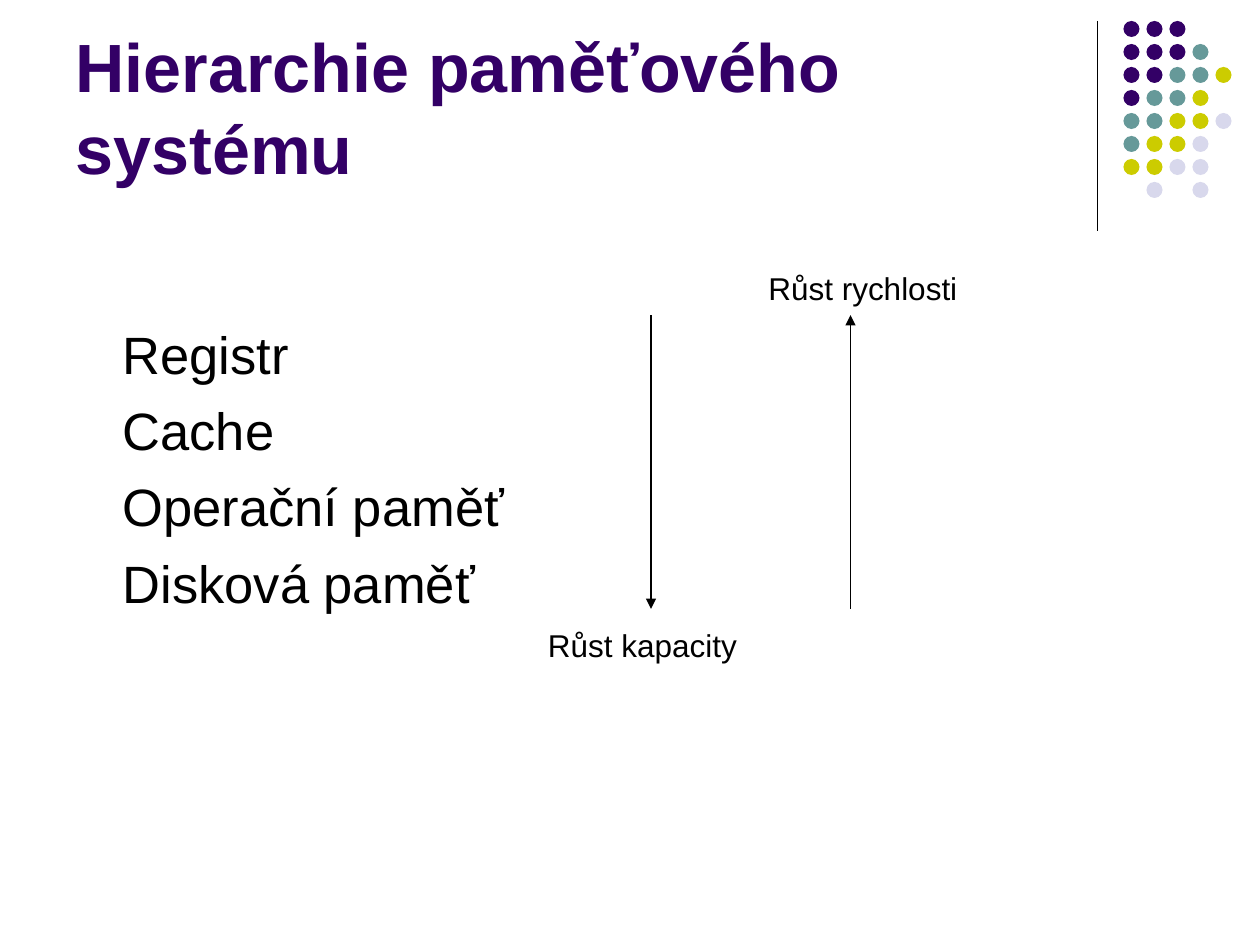
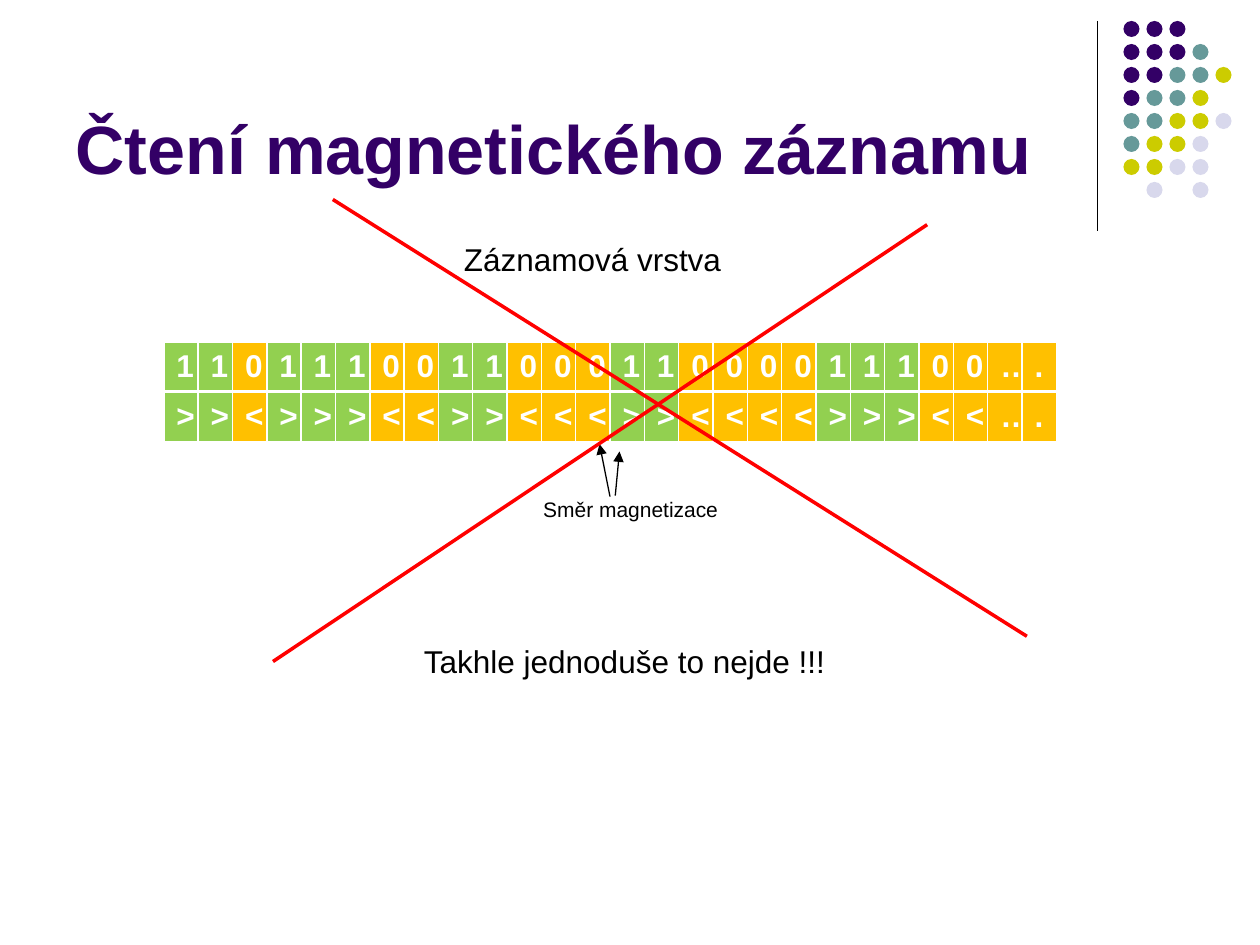
from dataclasses import dataclass

from lxml.etree import SubElement
from pptx import Presentation
from pptx.dml.color import RGBColor
from pptx.enum.shapes import MSO_CONNECTOR as Connector, MSO_SHAPE as Shape
from pptx.enum.text import MSO_ANCHOR as Anchor, MSO_AUTO_SIZE as AutoSize, PP_ALIGN as Align
from pptx.oxml.ns import qn
from pptx.util import Inches, Pt

UNIT = Inches(1) / 12
COLUMNS, ROWS = 120, 90
TITLE_ONLY = 5
FONT = "Arial"
PURPLE, TEAL, LIME, LAVENDER = "330066", "669999", "CCCC00", "D8D8EC"
BLACK, WHITE, RED, GREEN, ORANGE = "000000", "FFFFFF", "FF0000", "92D050", "FFC000"
DOT_COLOURS = {"P": PURPLE, "T": TEAL, "L": LIME, "V": LAVENDER}
DOT_ROWS = ["PPP", "PPPT", "PPTTL", "PTTL", "TTLLV", "TLLV", "LLVV", " V V"]
BITS = "110111001100011000011100…."


@dataclass
class Box:
    """A rectangle measured in columns and rows of the slide grid."""
    left: float
    top: float
    width: float
    height: float

    def inner(self, left, top, width, height):
        """Return a box offset from the corner of this one."""
        return Box(self.left + left, self.top + top, width, height)

    def point(self, left, top):
        """Return the slide lengths of a point offset from the corner."""
        return round((self.left + left) * UNIT), round((self.top + top) * UNIT)

    def lengths(self):
        """Return left, top, width and height as slide lengths."""
        return [round(value * UNIT) for value in (self.left, self.top, self.width, self.height)]


TITLE = Box(6, 1.5, 99, 17)
CORNER = Box(104.5, 2, 12.8, 20)
LEVELS = Box(6, 30.1, 54, 30)
GROWTH = Box(51, 25, 44, 39)
RECORD = Box(15.6, 22.3, 85.08, 28)
CROSS = Box(26, 19, 72, 44)


def colour(value):
    """Turn a hex string into a colour."""
    return RGBColor.from_string(value)


def apply(target, **values):
    """Set attributes from named format values."""
    for name, value in values.items():
        setattr(target, name, value)


def format_font(paragraph, size, hex_colour, bold=False):
    """Format the font of a paragraph."""
    apply(paragraph.font, name=FONT, size=Pt(size), bold=bold)
    paragraph.font.color.rgb = colour(hex_colour)


def add_text(slide, box, lines, size, space=0, indent=0):
    """Place lines of black text, with space between them."""
    frame = slide.shapes.add_textbox(*box.lengths()).text_frame
    frame.word_wrap = True
    frame.text = "\n".join(lines)
    for index, paragraph in enumerate(frame.paragraphs):
        paragraph._p.get_or_add_pPr().set("marL", str(round(indent * UNIT)))
        paragraph.space_before = Pt(space if index else 0)
        format_font(paragraph, size, BLACK)


def add_line(slide, start, end, hex_colour=BLACK, width=0.75, arrow=False):
    """Draw a straight line, with an arrowhead at its end if asked."""
    connector = slide.shapes.add_connector(Connector.STRAIGHT, *start, *end)
    connector.line.color.rgb = colour(hex_colour)
    connector.line.width = Pt(width)
    if arrow:
        SubElement(connector.line._get_or_add_ln(), qn("a:tailEnd"), type="triangle")
    SubElement(connector._element.spPr, qn("a:effectLst"))


def add_corner(slide, box):
    """Draw the vertical rule and the dot pattern beside it."""
    add_line(slide, box.point(0, 0), box.point(0, box.height))
    pitch, diameter = 2.19, 1.53
    for row, codes in enumerate(DOT_ROWS):
        for column, code in enumerate(codes):
            if code in DOT_COLOURS:
                place = box.inner(2.5 + column * pitch, row * pitch, diameter, diameter)
                dot = slide.shapes.add_shape(Shape.OVAL, *place.lengths())
                dot.shadow.inherit = False
                dot.fill.solid()
                dot.fill.fore_color.rgb = colour(DOT_COLOURS[code])
                dot.line.fill.background()


def add_titled_slide(presentation, text):
    """Add a slide with the shared title style and corner pattern."""
    slide = presentation.slides.add_slide(presentation.slide_layouts[TITLE_ONLY])
    title = slide.shapes.title
    apply(title, **dict(zip(("left", "top", "width", "height"), TITLE.lengths())))
    title.text_frame.text = text
    apply(title.text_frame, vertical_anchor=Anchor.BOTTOM, word_wrap=True, auto_size=AutoSize.NONE)
    paragraph = title.text_frame.paragraphs[0]
    paragraph.alignment = Align.LEFT
    format_font(paragraph, 39, PURPLE, bold=True)
    add_corner(slide, CORNER)
    return slide


def add_growth(slide, box):
    """Draw the opposed arrows of capacity and speed."""
    top, bottom = 5, 33
    add_line(slide, box.point(11, top), box.point(11, bottom), arrow=True)
    add_line(slide, box.point(30, bottom), box.point(30, top), arrow=True)
    add_text(slide, box.inner(0, 34, 23, 4.8), ["Růst kapacity"], 18)
    add_text(slide, box.inner(21, 0, 23, 4.8), ["Růst rychlosti"], 18)


def add_borders(cell):
    """Give a cell white borders, thicker at the bottom."""
    properties = cell._tc.get_or_add_tcPr()
    for side, width in {"L": 1, "R": 1, "T": 1, "B": 3}.items():
        line = SubElement(properties, qn(f"a:ln{side}"), w=str(Pt(width)))
        fill = SubElement(line, qn("a:solidFill"))
        SubElement(fill, qn("a:srgbClr"), val=WHITE)


def add_strip(slide, box, symbols):
    """Add a one-row table, green where the bit is one."""
    table = slide.shapes.add_table(1, len(symbols), *box.lengths()).table
    for index, (symbol, bit) in enumerate(zip(symbols, BITS)):
        table.columns[index].width = round(box.width * UNIT / len(symbols))
        cell = table.cell(0, index)
        cell.text = symbol
        format_font(cell.text_frame.paragraphs[0], 18, WHITE, bold=True)
        add_borders(cell)
        cell.fill.solid()
        cell.fill.fore_color.rgb = colour(GREEN if bit == "1" else ORANGE)


def add_record(slide, box):
    """Show the recorded bits and their magnetisation."""
    directions = BITS.replace("1", ">").replace("0", "<")
    for row, symbols in enumerate((BITS, directions)):
        add_strip(slide, box.inner(0, 10.3 + row * 4.8, box.width, 4.8), symbols)
    add_text(slide, box.inner(27.4, 0, 31.2, 4.8), ["Záznamová vrstva"], 18)
    add_text(slide, box.inner(34.95, 24.4, 21.7, 3.6), ["Směr magnetizace"], 12)
    add_line(slide, box.point(42.5, 25), box.point(41.5, 20), arrow=True)
    add_line(slide, box.point(43, 24.9), box.point(43.4, 20.7), arrow=True)


def add_cross(slide, box):
    """Cross the scheme out and state the conclusion."""
    add_line(slide, box.point(0, box.height), box.point(62.3, 2.4), RED, 2)
    add_line(slide, box.point(5.7, 0), box.point(71.8, 41.6), RED, 2)
    add_text(slide, box.inner(13.2, 41.6, 58.6, 4.8), ["Takhle jednoduše to nejde !!!"], 18)


def main():
    """Build and save the presentation."""
    presentation = Presentation()
    apply(presentation, slide_width=round(COLUMNS * UNIT), slide_height=round(ROWS * UNIT))

    hierarchy = add_titled_slide(presentation, "Hierarchie paměťového systému")
    levels = ["Registr", "Cache", "Operační paměť", "Disková paměť"]
    add_text(hierarchy, LEVELS, levels, 30, space=7.5, indent=4.5)
    add_growth(hierarchy, GROWTH)

    reading = add_titled_slide(presentation, "Čtení magnetického záznamu")
    add_record(reading, RECORD)
    add_cross(reading, CROSS)

    presentation.save("out.pptx")


if __name__ == "__main__":
    main()
